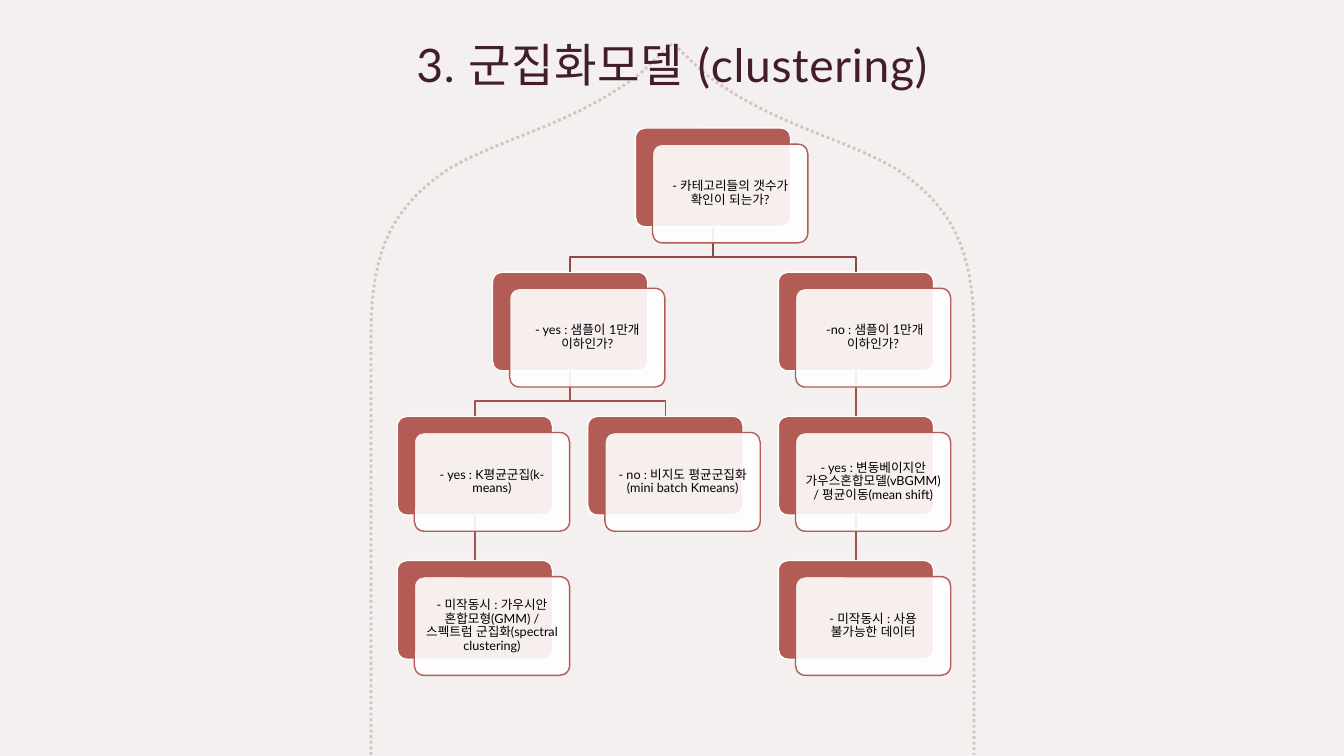
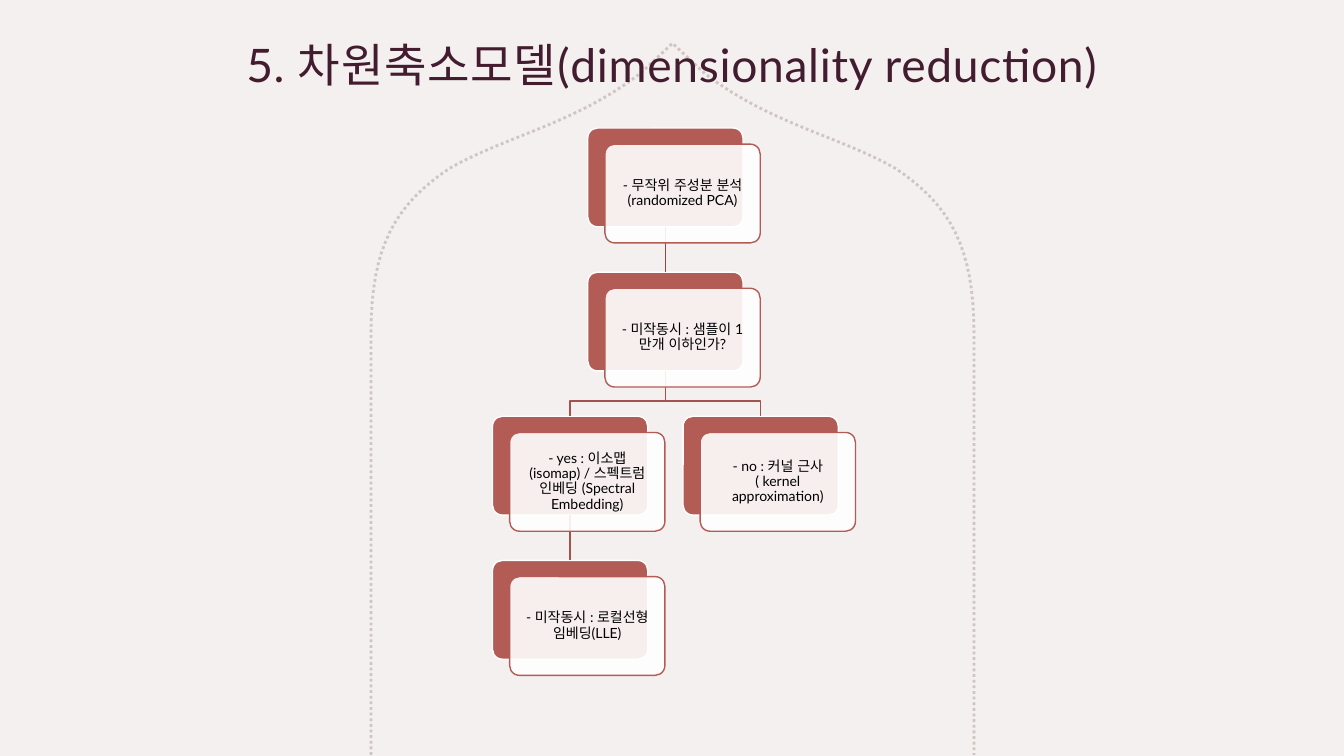
import pptx
import pptx.util
import pptx.dml.color
import pptx.enum.dml
import pptx.enum.lang
import pptx.enum.shapes
import pptx.enum.text
import pptx.oxml
import pptx.oxml.ns

Inches = pptx.util.Inches
Pt = pptx.util.Pt
RGBColor = pptx.dml.color.RGBColor

BACKGROUND = RGBColor(0xF3, 0xF0, 0xEF)
ARCH_COLOR = RGBColor(0xBF, 0xAF, 0xAA)
TITLE_COLOR = RGBColor(0x43, 0x1C, 0x30)
CARD_COLOR = RGBColor(0xB3, 0x5B, 0x55)
ROOT_LINK_COLOR = RGBColor(0x8F, 0x49, 0x44)
LINK_COLOR = RGBColor(0xA2, 0x53, 0x4D)
WHITE = RGBColor(0xFF, 0xFF, 0xFF)
BLACK = RGBColor(0, 0, 0)
FONT = "Lato"

CARD_WIDTH, CARD_HEIGHT = 1.54, 0.98
COLUMN_STEP, ROW_STEP = 1.89, 1.43
FRONT_OFFSET_X, FRONT_OFFSET_Y = 0.17, 0.16
LINK_BEND = 0.3

CLUSTERING_NODES = [
    (1.25, 0, "- 카테고리들의 갯수가 확인이 되는가?", None),
    (0.5, 1, "- yes : 샘플이 1만개 이하인가?", 0),
    (0, 2, "- yes : K평균군집(k-means)", 1),
    (0, 3, "- 미작동시 : 가우시안 혼합모형(GMM) / 스펙트럼 군집화(spectral clustering)", 2),
    (1, 2, "- no : 비지도 평균군집화(mini batch Kmeans)", 1),
    (2, 1, " -no : 샘플이 1만개 이하인가?", 0),
    (2, 2, "- yes : 변동베이지안 가우스혼합모델(vBGMM) / 평균이동(mean shift)", 5),
    (2, 3, "- 미작동시 : 사용 불가능한 데이터", 6),
]
REDUCTION_NODES = [
    (1, 0, "- 무작위 주성분 분석(randomized PCA)", None),
    (1, 1, "- 미작동시 : 샘플이 1만개 이하인가?", 0),
    (0.5, 2, "- yes : 이소맵(isomap) / 스펙트럼 인베딩 (Spectral Embedding)", 1),
    (0.5, 3, "- 미작동시 : 로컬선형 임베딩(LLE)", 2),
    (1.5, 2, "- no : 커널 근사 ( kernel approximation)", 1),
]


def set_alpha(color_format, percent):
    """Make a solid theme-free colour partly transparent."""
    fill_xml = color_format._xFill
    alpha = pptx.oxml.parse_xml(
        f'<a:alpha {pptx.oxml.ns.nsdecls("a")} val="{percent * 1000}"/>')
    fill_xml[0].append(alpha)


def style_text(shape, text, size, color, inset_x, inset_y):
    """Write one centred paragraph into a shape and return it."""
    frame = shape.text_frame
    frame.word_wrap = True
    frame.vertical_anchor = pptx.enum.text.MSO_ANCHOR.MIDDLE
    frame.margin_left = frame.margin_right = Inches(inset_x)
    frame.margin_top = frame.margin_bottom = Inches(inset_y)
    frame.text = text
    paragraph = frame.paragraphs[0]
    paragraph.alignment = pptx.enum.text.PP_ALIGN.CENTER
    font = paragraph.runs[0].font
    font.name, font.size = FONT, Pt(size)
    font.color.rgb = color
    font.language_id = pptx.enum.lang.MSO_LANGUAGE_ID.KOREAN
    return paragraph


def curve_points(start, control_1, control_2, end, steps=16):
    """Return points along a cubic curve, without its start."""
    points = []
    for step in range(1, steps + 1):
        t = step / steps
        weights = ((1 - t) ** 3, 3 * t * (1 - t) ** 2, 3 * t * t * (1 - t), t ** 3)
        points.append(tuple(
            sum(weight * point[axis] for weight, point
                in zip(weights, (start, control_1, control_2, end)))
            for axis in (0, 1)))
    return points


def draw_outline(slide, points, color, width):
    """Draw an open unfilled outline through points given in inches."""
    lengths = [(Inches(x), Inches(y)) for x, y in points]
    builder = slide.shapes.build_freeform(*lengths[0])
    builder.add_line_segments(lengths[1:], close=False)
    shape = builder.convert_to_shape()
    shape.shadow.inherit = False
    shape.fill.background()
    shape.line.color.rgb = color
    shape.line.width = Pt(width)
    return shape


def draw_arch(slide, left, top, width, height):
    """Draw the dotted symmetrical arch in its box."""
    half = [(0, height), (0, 2.87)]
    half += curve_points((0, 2.87), (0, 2.02), (0.24, 1.6), (0.78, 1.24))
    half += curve_points((0.78, 1.24), (1.34, 0.92), (2.02, 0.8), (2.67, 0.3))
    mirrored = [(width - x, y) for x, y in reversed(half)]
    outline = half + [(width / 2, 0)] + mirrored
    shape = draw_outline(slide, [(left + x, top + y) for x, y in outline], ARCH_COLOR, 2)
    shape.line.dash_style = pptx.enum.dml.MSO_LINE.ROUND_DOT
    set_alpha(shape.line.fill._fill.fore_color, 65)


def draw_title(slide, text, left, top, width, height):
    """Write the slide title in its box."""
    box = slide.shapes.add_textbox(
        Inches(left), Inches(top), Inches(width), Inches(height))
    paragraph = style_text(box, text, 33, TITLE_COLOR, 0.12, 0.1)
    paragraph.runs[0].font._element.set("spc", "50")


def draw_card(slide, left, top, fill, line):
    """Draw one rounded card and return it."""
    card = slide.shapes.add_shape(
        pptx.enum.shapes.MSO_SHAPE.ROUNDED_RECTANGLE,
        Inches(left), Inches(top), Inches(CARD_WIDTH), Inches(CARD_HEIGHT))
    card.adjustments[0] = 0.1
    card.shadow.inherit = False
    card.fill.solid()
    card.fill.fore_color.rgb = fill
    card.line.color.rgb = line
    card.line.width = Pt(1)
    return card


def draw_link(slide, parent, child, start, end, color):
    """Join two cards, straight down or with a bend."""
    if start[0] == end[0]:
        link = slide.shapes.add_connector(
            pptx.enum.shapes.MSO_CONNECTOR.STRAIGHT, *map(Inches, start + end))
        link.begin_connect(parent, 2)
        link.end_connect(child, 0)
        link.line.color.rgb = color
        link.line.width = Pt(1)
        link._element.spPr.append(pptx.oxml.parse_xml(
            f'<a:effectLst {pptx.oxml.ns.nsdecls("a")}/>'))
    else:
        bend = start[1] + LINK_BEND
        draw_outline(slide, [start, (start[0], bend), (end[0], bend), end], color, 1)


def draw_tree(slide, nodes, size, left, top):
    """Draw a decision tree from its top left corner."""
    places = [(left + column * COLUMN_STEP, top + row * ROW_STEP)
              for column, row, _, _ in nodes]
    cards = [draw_card(slide, x, y, CARD_COLOR, WHITE) for x, y in places]
    for index, (_, _, _, parent) in enumerate(nodes):
        if parent is None:
            continue
        parent_x, parent_y = places[parent]
        child_x, child_y = places[index]
        draw_link(slide, cards[parent], cards[index],
                  (parent_x + CARD_WIDTH / 2, parent_y + CARD_HEIGHT),
                  (child_x + CARD_WIDTH / 2, child_y),
                  ROOT_LINK_COLOR if parent == 0 else LINK_COLOR)
    for (x, y), (_, _, text, _) in zip(places, nodes):
        front = draw_card(slide, x + FRONT_OFFSET_X, y + FRONT_OFFSET_Y, WHITE, CARD_COLOR)
        set_alpha(front.fill._fill.fore_color, 90)
        paragraph = style_text(front, text, size, BLACK, 0.07, 0.07)
        paragraph.line_spacing = 0.9


def build_slide(presentation, title, nodes, size):
    """Add one slide with arch, title and tree."""
    slide = presentation.slides.add_slide(presentation.slide_layouts[6])
    slide.background.fill.solid()
    slide.background.fill.fore_color.rgb = BACKGROUND
    draw_arch(slide, 3.68, 0.43, 5.98, 7.06)
    draw_title(slide, title, 1.04, 0.26, 11.25, 0.75)
    draw_tree(slide, nodes, size, 3.94, 1.27)


def main():
    """Build and save the presentation."""
    presentation = pptx.Presentation()
    presentation.slide_width = Inches(13.33)
    presentation.slide_height = Inches(7.5)
    build_slide(presentation, "3. 군집화모델 (clustering)", CLUSTERING_NODES, 9)
    build_slide(presentation, "5. 차원축소모델(dimensionality reduction)", REDUCTION_NODES, 10)
    presentation.save("out.pptx")


if __name__ == "__main__":
    main()
